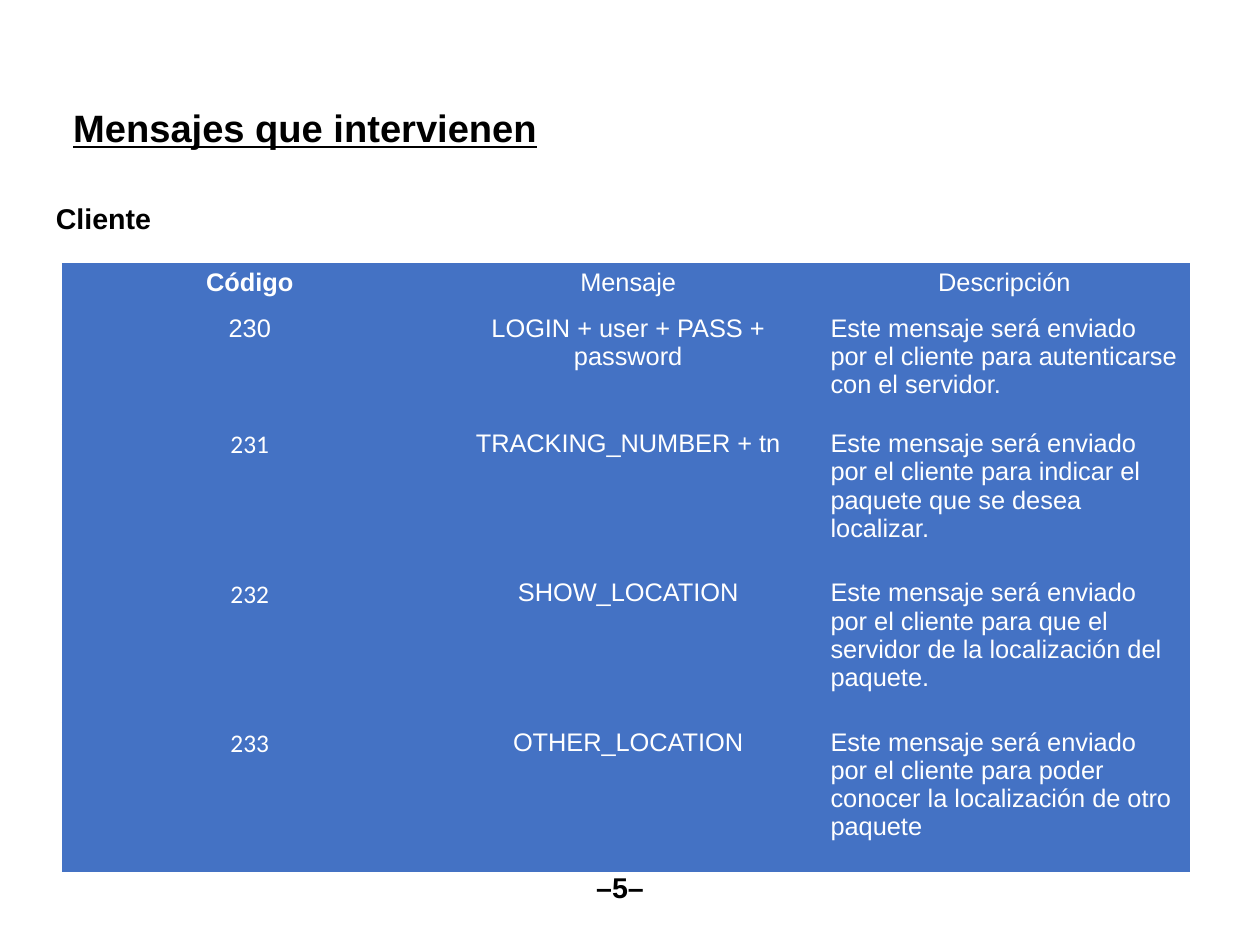
import dataclasses

import lxml.etree
import pptx
import pptx.dml.color
import pptx.enum.text
import pptx.oxml.ns
import pptx.util

ALIGN = pptx.enum.text.PP_ALIGN


@dataclasses.dataclass(frozen=True)
class Theme:
    ink: str = "000000"
    table_text: str = "FFFFFF"
    table_fill: str = "4472C4"
    font: str = "Arial"
    code_font: str = "Calibri"
    title_size: int = 24
    label_size: int = 18
    table_size: int = 16
    border_width: float = 0.5


THEME = Theme()
SLIDE_WIDTH = pptx.util.Cm(28)
SLIDE_HEIGHT = pptx.util.Cm(21)

# Boxes: left, top, width, height in percent of the slide
TITLE_BOX = (4.9, 10.45, 40.11, 10.16)
SECTION_BOX = (3.54, 20.68, 11.43, 4.59)
MESSAGES_BOX = (4.94, 27.87, 89.48, 64.4)
PAGE_BOX = (46.42, 91.5, 5.72, 8.5)

# Relative sizes of the table's columns and rows
COLUMN_SHARES = (3.28, 3.34, 3.24)
ROW_SHARES = (0.4, 1.01, 1.31, 1.31, 1.31)

HEADINGS = ("Código", "Mensaje", "Descripción")
DESCRIPTION_START = "Este mensaje será enviado por el cliente para "
MESSAGES = (
    ("230", "LOGIN + user + PASS + password", "autenticarse con el servidor."),
    ("231", "TRACKING_NUMBER + tn", "indicar el paquete que se desea localizar."),
    ("232", "SHOW_LOCATION", "que el servidor de la localización del paquete."),
    ("233", "OTHER_LOCATION", "poder conocer la localización de otro paquete"),
)


def place(box):
    left, top, width, height = box
    return (round(SLIDE_WIDTH * left / 100), round(SLIDE_HEIGHT * top / 100),
            round(SLIDE_WIDTH * width / 100), round(SLIDE_HEIGHT * height / 100))


def write(frame, text, size, color, align, bold=False, underline=False, font=THEME.font):
    paragraph = frame.paragraphs[0]
    paragraph.alignment = align
    run = paragraph.add_run()
    run.text = text
    run.font.name = font
    run.font.size = pptx.util.Pt(size)
    run.font.bold = bold
    run.font.underline = underline
    run.font.color.rgb = pptx.dml.color.RGBColor.from_string(color)


def add_title(slide, box):
    title = slide.shapes.title
    title.left, title.top, title.width, title.height = place(box)
    frame = title.text_frame
    frame.word_wrap = True
    frame.auto_size = pptx.enum.text.MSO_AUTO_SIZE.NONE
    frame.vertical_anchor = pptx.enum.text.MSO_ANCHOR.TOP
    write(frame, "Mensajes que intervienen", THEME.title_size, THEME.ink,
          ALIGN.JUSTIFY, bold=True, underline=True)


def add_label(slide, box, text, wrap):
    label = slide.shapes.add_textbox(*place(box))
    label.text_frame.word_wrap = wrap
    write(label.text_frame, text, THEME.label_size, THEME.ink, ALIGN.LEFT, bold=True)


def set_borders(cell):
    properties = cell._tc.get_or_add_tcPr()
    qn = pptx.oxml.ns.qn
    for position, side in enumerate(("a:lnL", "a:lnR", "a:lnT", "a:lnB")):
        line = lxml.etree.Element(qn(side), w=str(int(pptx.util.Pt(THEME.border_width))))
        fill = lxml.etree.SubElement(line, qn("a:solidFill"))
        lxml.etree.SubElement(fill, qn("a:srgbClr"), val=THEME.table_fill)
        properties.insert(position, line)


def add_messages(slide, box):
    left, top, width, height = place(box)
    rows = [HEADINGS] + [(code, message, DESCRIPTION_START + purpose)
                         for code, message, purpose in MESSAGES]
    table = slide.shapes.add_table(len(rows), len(HEADINGS), left, top, width, height).table
    table.horz_banding = False

    for column, share in zip(table.columns, COLUMN_SHARES):
        column.width = round(width * share / sum(COLUMN_SHARES))
    for row, share in zip(table.rows, ROW_SHARES):
        row.height = round(height * share / sum(ROW_SHARES))

    for r, texts in enumerate(rows):
        for c, text in enumerate(texts):
            cell = table.cell(r, c)
            cell.fill.solid()
            cell.fill.fore_color.rgb = pptx.dml.color.RGBColor.from_string(THEME.table_fill)
            set_borders(cell)
            is_description = r > 0 and c == 2
            write(cell.text_frame, text, THEME.table_size, THEME.table_text,
                  ALIGN.LEFT if is_description else ALIGN.CENTER,
                  bold=(r == 0 and c == 0),
                  font=THEME.code_font if r > 1 and c == 0 else THEME.font)


def main():
    deck = pptx.Presentation()
    deck.slide_width = SLIDE_WIDTH
    deck.slide_height = SLIDE_HEIGHT
    # The default 4:3 screen preset does not apply to this page size
    deck.element.sldSz.attrib.pop("type", None)
    slide = deck.slides.add_slide(deck.slide_layouts.get_by_name("Title Only"))

    # Message table
    add_messages(slide, MESSAGES_BOX)
    # Title and section label
    add_title(slide, TITLE_BOX)
    add_label(slide, SECTION_BOX, "Cliente", wrap=False)
    # Page number
    add_label(slide, PAGE_BOX, "–5–", wrap=True)

    deck.save("out.pptx")


if __name__ == "__main__":
    main()
